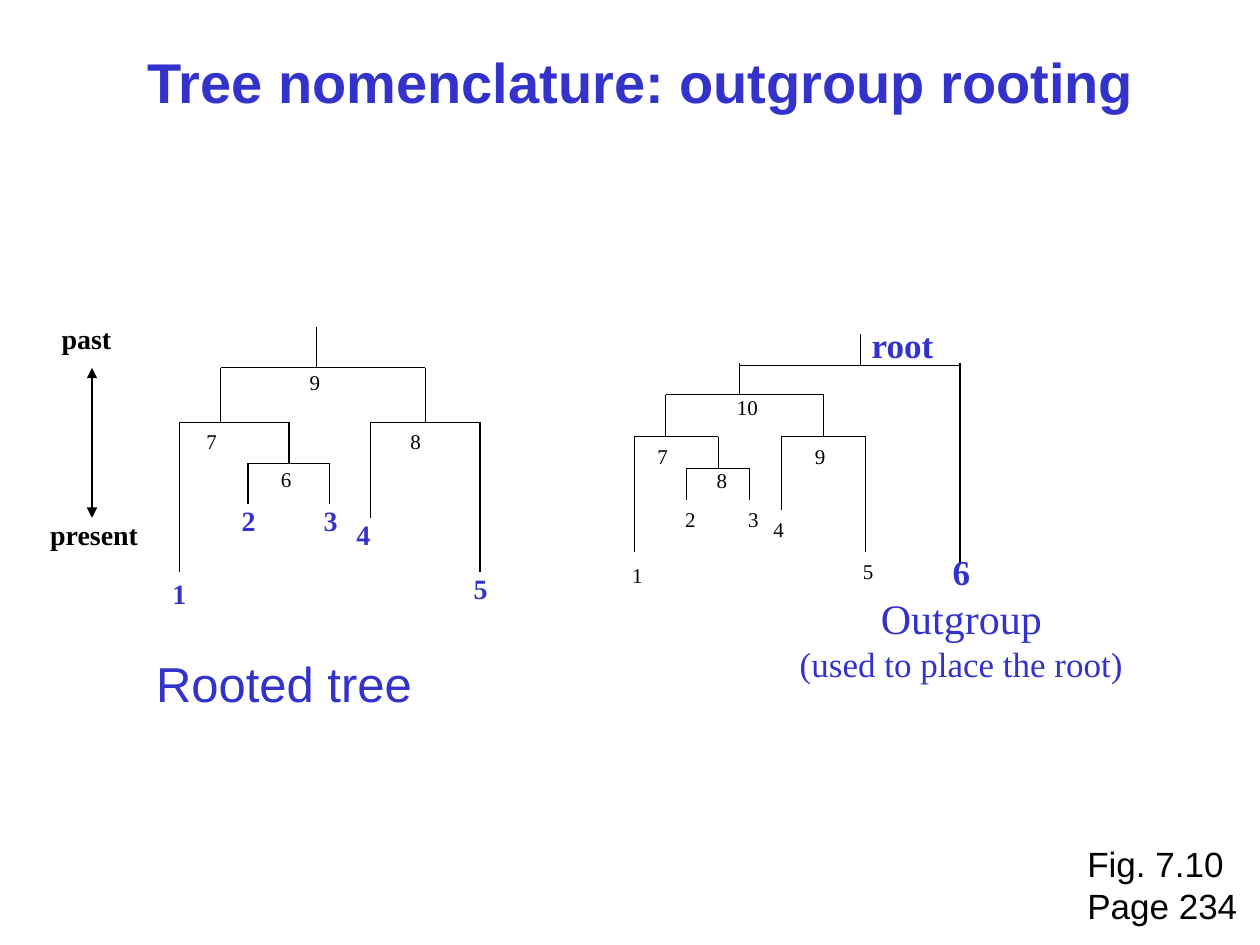
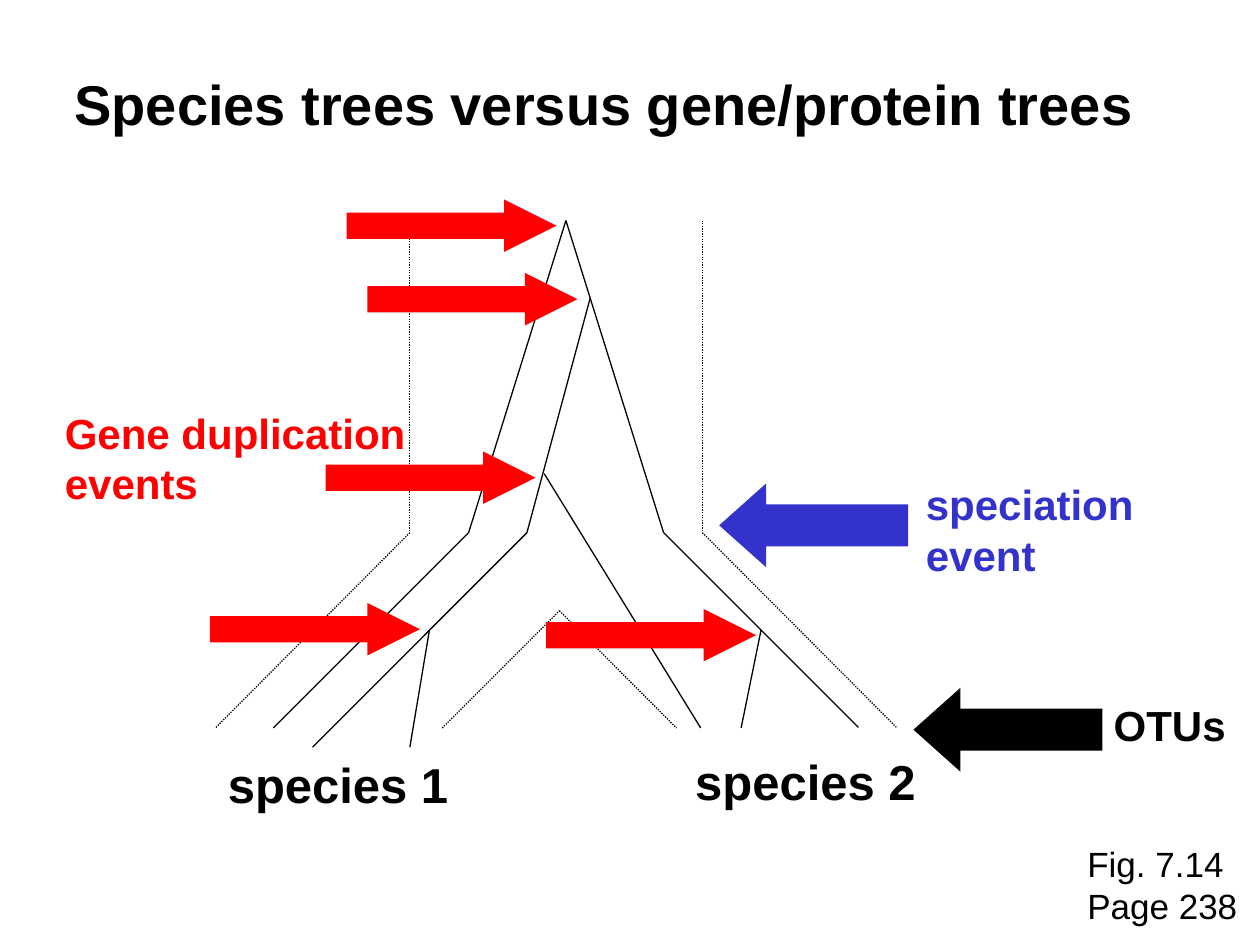
from dataclasses import dataclass
from itertools import pairwise

from lxml import etree
from pptx import Presentation
from pptx.dml.color import RGBColor
from pptx.enum.dml import MSO_LINE
from pptx.enum.shapes import MSO_CONNECTOR, MSO_SHAPE
from pptx.enum.text import MSO_ANCHOR, MSO_AUTO_SIZE, PP_ALIGN
from pptx.oxml.ns import qn
from pptx.util import Pt

STRAIGHT = MSO_CONNECTOR.STRAIGHT
DOTTED = MSO_LINE.ROUND_DOT
RIGHT_ARROW, LEFT_ARROW = MSO_SHAPE.RIGHT_ARROW, MSO_SHAPE.LEFT_ARROW
LEFT, CENTER = PP_ALIGN.LEFT, PP_ALIGN.CENTER
TOP = MSO_ANCHOR.TOP
FIT_SHAPE = MSO_AUTO_SIZE.SHAPE_TO_FIT_TEXT

Point = tuple[float, float]


@dataclass(frozen=True)
class TextStyle:
    size: float
    font: str
    color: RGBColor
    bold: bool = False


@dataclass(frozen=True)
class Theme:
    black: RGBColor = RGBColor(0, 0, 0)
    blue: RGBColor = RGBColor(0x33, 0x33, 0xCC)
    red: RGBColor = RGBColor(0xFF, 0, 0)
    sans: str = "Arial"
    serif: str = "Times New Roman"
    title: float = 32
    heading: float = 28
    callout: float = 24
    note: float = 20
    leaf: float = 16
    node: float = 12
    line: float = 0.75
    slack: float = 3  # spare width that keeps each line of text whole


THEME = Theme()

# Text styles
BLUE_TITLE = TextStyle(THEME.title, THEME.sans, THEME.blue, True)
BLACK_TITLE = TextStyle(THEME.title, THEME.sans, THEME.black, True)
CAPTION = TextStyle(THEME.heading, THEME.sans, THEME.blue)
SPECIES = TextStyle(THEME.heading, THEME.sans, THEME.black, True)
DUPLICATION = TextStyle(THEME.callout, THEME.sans, THEME.red, True)
SPECIATION = TextStyle(THEME.callout, THEME.sans, THEME.blue, True)
OTU = TextStyle(THEME.callout, THEME.sans, THEME.black, True)
REFERENCE = TextStyle(THEME.note, THEME.sans, THEME.black)
TIME = TextStyle(THEME.leaf, THEME.serif, THEME.black, True)
LEAF = TextStyle(THEME.leaf, THEME.serif, THEME.blue, True)
NODE = TextStyle(THEME.node, THEME.serif, THEME.black)
ROOT = TextStyle(THEME.note, THEME.serif, THEME.blue, True)
OUTGROUP = TextStyle(THEME.callout, THEME.serif, THEME.blue)
OUTGROUP_NOTE = TextStyle(THEME.note, THEME.serif, THEME.blue)


@dataclass(frozen=True)
class Label:
    text: str
    styles: tuple[TextStyle, ...]  # one per line; the last one repeats
    left: float
    top: float
    width: float
    height: float
    align: PP_ALIGN = LEFT


@dataclass(frozen=True)
class Arrow:
    kind: MSO_SHAPE
    color: RGBColor
    left: float
    top: float
    width: float
    height: float
    head: float


@dataclass(frozen=True)
class Tree:
    left: float
    top: float
    unit: float


@dataclass(frozen=True)
class Clade:
    """A bracket: a bar with one branch hanging from each end, in tree units."""
    left: float
    right: float
    top: float
    left_end: float
    right_end: float


# Slide 1: two drawings of the same rooted tree
STEM: tuple[Point, Point] = ((10, 0), (10, 3))
CLADES = (
    Clade(3, 18, 3, 7, 7),
    Clade(0, 8, 7, 18, 10),
    Clade(14, 22, 7, 14, 18),
    Clade(5, 11, 10, 13, 13),
)
ROOTED_TREE = Tree(102.7, 186.7, 7.8)
OUTGROUP_TREE = Tree(362.4, 207.5, 6.01)
OUTGROUP_BRANCHES = (
    ((422.6, 208.8), (548.6, 208.8)),
    ((548.6, 207.4), (548.6, 321.8)),
    ((491.9, 190.8), (491.9, 208.8)),
)
LEAF_SIZE = (22.3, 26.6)
NODE_SIZE = (20.2, 21.6)
ROOTED_LEAVES = (("1", 91.4, 326.2), ("2", 131, 284.4), ("3", 177.8, 284.4),
                 ("4", 196.6, 292.3), ("5", 263.5, 323.3))
ROOTED_NODES = (("6", 153.4, 262.8), ("7", 110.9, 241.2),
                ("8", 227.5, 241.2), ("9", 169.9, 207.4))
OUTGROUP_NODES = (("1", 354.2, 318.2), ("2", 384.5, 285.8), ("3", 420.5, 285.8),
                  ("4", 434.9, 291.6), ("5", 486, 315.4), ("7", 368.6, 249.8),
                  ("8", 402.5, 263.5), ("9", 458.6, 249.8))
ROOTING_LABELS = (
    Label("past", (TIME,), 28.1, 180, 42.5, 26.6),
    Label("present", (TIME,), 21.6, 292.3, 64.8, 26.6),
    Label("10", (NODE,), 414, 221.8, 25.9, 21.6),
    Label("root", (ROOT,), 491, 181.4, 49.7, 31.7),
    Label("Rooted tree", (CAPTION,), 82.1, 370.1, 160.6, 41),
    Label("6\nOutgroup\n(used to place the root)", (ROOT, OUTGROUP, OUTGROUP_NOTE),
          450, 311, 198.7, 84.2, CENTER),
)

# Slide 2: dotted species outline, solid gene lineages
SPECIES_PATHS = (
    ((234.2, 126), (234.2, 304.4), (123.1, 416)),
    ((401.4, 126), (401.4, 304.4), (512.6, 416)),
    ((252.7, 416), (319.7, 349), (386.6, 416)),
)
GENE_PATHS = (
    ((156.2, 416), (267.8, 304.4), (323.4, 126), (379.2, 304.4), (490.5, 415.7)),
    ((337.2, 170.6), (301.1, 304.4), (178.6, 427)),
    ((245.4, 360), (234.2, 427)),
    ((311, 270.7), (400.4, 416)),
    ((434.9, 360), (423.5, 416)),
)
DUPLICATIONS = ((198, 114), (210, 156), (186, 258), (120, 344.6), (312, 348))
EVENT_ARROWS = (
    *(Arrow(RIGHT_ARROW, THEME.red, left, top, 120, 30, 1) for left, top in DUPLICATIONS),
    Arrow(LEFT_ARROW, THEME.blue, 411, 276.2, 108, 48, 0.56),
    Arrow(LEFT_ARROW, THEME.black, 522, 393, 108, 48, 0.56),
)
SPECIES_LABELS = (
    Label("species 1", (SPECIES,), 123.1, 427.6, 140.4, 41),
    Label("species 2", (SPECIES,), 390.2, 425.9, 140.4, 41),
    Label("speciation\nevent", (SPECIATION,), 522, 270, 133.2, 64.8),
    Label("Gene duplication\nevents", (DUPLICATION,), 30, 229.2, 208.8, 64.8),
    Label("OTUs", (OTU,), 629.3, 396, 78.5, 36),
)


def fill_text(shape, label: Label) -> None:
    """Place a text shape and write one styled paragraph per line."""
    shift = THEME.slack / 2 if label.align == CENTER else 0
    box = {"left": label.left - shift, "top": label.top,
           "width": label.width + THEME.slack, "height": label.height}
    for name, value in box.items():
        setattr(shape, name, Pt(value))
    frame = shape.text_frame
    frame_format = {"word_wrap": False, "auto_size": FIT_SHAPE, "vertical_anchor": TOP}
    for name, value in frame_format.items():
        setattr(frame, name, value)
    for index, line in enumerate(label.text.split("\n")):
        para = frame.add_paragraph() if index else frame.paragraphs[0]
        para.alignment = label.align
        span = para.add_run()
        span.text = line
        style = label.styles[min(index, len(label.styles) - 1)]
        font_format = {"name": style.font, "size": Pt(style.size), "bold": style.bold}
        for name, value in font_format.items():
            setattr(span.font, name, value)
        span.font.color.rgb = style.color


def add_label(page, label: Label) -> None:
    fill_text(page.shapes.add_textbox(0, 0, 0, 0), label)


def add_marks(page, marks, style: TextStyle, size: tuple[float, float]) -> None:
    for text, left, top in marks:
        add_label(page, Label(text, (style,), left, top, *size))


def add_line(page, start: Point, end: Point, dash=None, heads: bool = False) -> None:
    line = page.shapes.add_connector(STRAIGHT, *(Pt(value) for value in (*start, *end)))
    line.line.color.rgb = THEME.black
    line.line.width = Pt(THEME.line)
    if dash is not None:
        line.line.dash_style = dash
    properties = line.element.spPr
    if heads:
        outline = properties.find(qn("a:ln"))
        for tag in ("a:headEnd", "a:tailEnd"):
            etree.SubElement(outline, qn(tag), type="triangle")
    etree.SubElement(properties, qn("a:effectLst"))


def add_polyline(page, points: tuple[Point, ...], dash=None) -> None:
    for start, end in pairwise(points):
        add_line(page, start, end, dash)


def add_tree(page, tree: Tree) -> None:
    """Draw the stem, then each clade as branch, bar, branch."""
    brackets = [
        ((clade.left, clade.left_end), (clade.left, clade.top),
         (clade.right, clade.top), (clade.right, clade.right_end))
        for clade in CLADES
    ]
    for points in (STEM, *brackets):
        add_polyline(page, tuple(
            (tree.left + x * tree.unit, tree.top + y * tree.unit) for x, y in points))


def add_arrow(page, arrow: Arrow) -> None:
    box = (Pt(value) for value in (arrow.left, arrow.top, arrow.width, arrow.height))
    shape = page.shapes.add_shape(arrow.kind, *box)
    shape.adjustments[0] = 0.5
    shape.adjustments[1] = arrow.head
    shape.shadow.inherit = False
    shape.fill.solid()
    shape.fill.fore_color.rgb = arrow.color
    shape.line.fill.background()


def add_page(deck, title: Label, reference: str):
    """Start a title-only slide with its figure reference."""
    page = deck.slides.add_slide(deck.slide_layouts[5])
    fill_text(page.shapes.title, title)
    add_label(page, Label(reference, (REFERENCE,), 614.2, 478.1, 100.1, 55.4))
    return page


def add_rooting_page(deck) -> None:
    title = Label("Tree nomenclature: outgroup rooting", (BLUE_TITLE,), 77, 23.8, 580.3, 46)
    page = add_page(deck, title, "Fig. 7.10\nPage 234")
    add_line(page, (52.6, 210.2), (52.6, 295.9), heads=True)
    for tree in (ROOTED_TREE, OUTGROUP_TREE):
        add_tree(page, tree)
    for start, end in OUTGROUP_BRANCHES:
        add_line(page, start, end)
    add_marks(page, ROOTED_LEAVES, LEAF, LEAF_SIZE)
    add_marks(page, ROOTED_NODES + OUTGROUP_NODES, NODE, NODE_SIZE)
    for label in ROOTING_LABELS:
        add_label(page, label)


def add_species_page(deck) -> None:
    title = Label("Species trees versus gene/protein trees", (BLACK_TITLE,), 35.3, 36, 619.9, 46)
    page = add_page(deck, title, "Fig. 7.14\nPage 238")
    for points in SPECIES_PATHS:
        add_polyline(page, points, DOTTED)
    for points in GENE_PATHS:
        add_polyline(page, points)
    for arrow in EVENT_ARROWS:
        add_arrow(page, arrow)
    for label in SPECIES_LABELS:
        add_label(page, label)


def main() -> None:
    deck = Presentation()
    deck.slide_width, deck.slide_height = Pt(720), Pt(540)
    add_rooting_page(deck)
    add_species_page(deck)
    deck.save("out.pptx")


if __name__ == "__main__":
    main()
